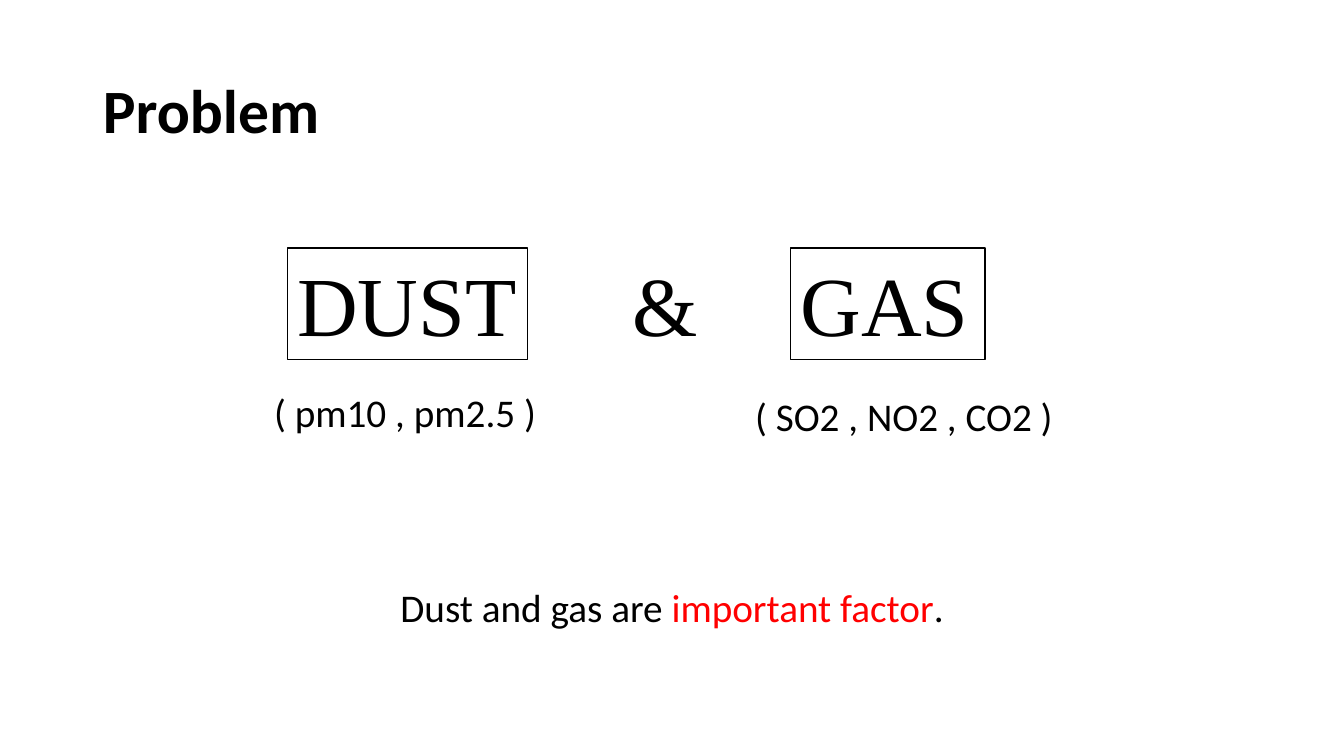
from pptx import Presentation
from pptx import util as u
from pptx.dml.color import RGBColor
from pptx.enum import shapes, text

BLACK = RGBColor(0x00, 0x00, 0x00)
WHITE = RGBColor(0xFF, 0xFF, 0xFF)
RED = RGBColor(0xFF, 0x00, 0x00)


class ProblemPage:
    """Holds the style and the current slide."""

    body_font, body_size = "Calibri", 28
    term_font, term_size = "Times New Roman", 60
    term_top, term_height = 2.46, 1.11

    def __init__(self, deck):
        self.page = deck.slides.add_slide(deck.slide_layouts[5])

    def style(self, span, font, size, color=BLACK, bold=False):
        span.font.name = font
        span.font.size = u.Pt(size)
        span.font.color.rgb = color
        span.font.bold = bold

    def title(self, words):
        box = self.page.shapes.title
        box.left, box.top = u.Inches(0.92), u.Inches(0.4)
        box.width, box.height = u.Inches(11.5), u.Inches(1.45)
        frame = box.text_frame
        frame.text = words
        frame.vertical_anchor = text.MSO_ANCHOR.MIDDLE
        para = frame.paragraphs[0]
        para.alignment = text.PP_ALIGN.LEFT
        para.line_spacing = 0.9
        self.style(para.runs[0], self.body_font, 44, bold=True)

    def term(self, word, left, width, framed=True, inset=0.1):
        box = self.page.shapes.add_shape(
            shapes.MSO_SHAPE.RECTANGLE, u.Inches(left), u.Inches(self.term_top),
            u.Inches(width), u.Inches(self.term_height))
        box.shadow.inherit = False
        box.fill.solid()
        box.fill.fore_color.rgb = WHITE
        if framed:
            box.line.color.rgb = BLACK
            box.line.width = u.Pt(1)
        else:
            box.line.fill.background()
        frame = box.text_frame
        frame.text = word
        frame.word_wrap = True
        frame.auto_size = text.MSO_AUTO_SIZE.SHAPE_TO_FIT_TEXT
        frame.vertical_anchor = text.MSO_ANCHOR.TOP
        frame.margin_left = u.Inches(inset)
        para = frame.paragraphs[0]
        para.alignment = text.PP_ALIGN.LEFT
        self.style(para.runs[0], self.term_font, self.term_size)

    def label(self, parts, left, top, width, wrap=False, align=text.PP_ALIGN.LEFT):
        box = self.page.shapes.add_textbox(
            u.Inches(left), u.Inches(top), u.Inches(width), u.Inches(0.57))
        frame = box.text_frame
        frame.word_wrap = wrap
        frame.auto_size = text.MSO_AUTO_SIZE.SHAPE_TO_FIT_TEXT
        para = frame.paragraphs[0]
        para.alignment = align
        for words, color in parts:
            span = para.add_run()
            span.text = words
            self.style(span, self.body_font, self.body_size, color)


def main():
    deck = Presentation()
    deck.slide_width, deck.slide_height = u.Inches(13.33), u.Inches(7.5)
    problem = ProblemPage(deck)

    # Title and conclusion
    problem.title("Problem")
    problem.label(
        [("Dust and gas are ", BLACK), ("important factor", RED), (".", BLACK)],
        2.07, 5.74, 9.19, wrap=True, align=text.PP_ALIGN.CENTER)

    # The two pollutants and the sign between them
    problem.term("DUST", 2.85, 2.38)
    problem.term("GAS", 7.84, 1.93)
    problem.term("&", 6, 1.08, framed=False, inset=0.27)

    # Substances under each pollutant
    problem.label([("( pm10 , pm2.5 )", BLACK)], 2.62, 3.8, 2.84)
    problem.label([("( SO2 , NO2 , CO2 )", BLACK)], 7.39, 3.84, 3.19)

    deck.save("out.pptx")


if __name__ == "__main__":
    main()
